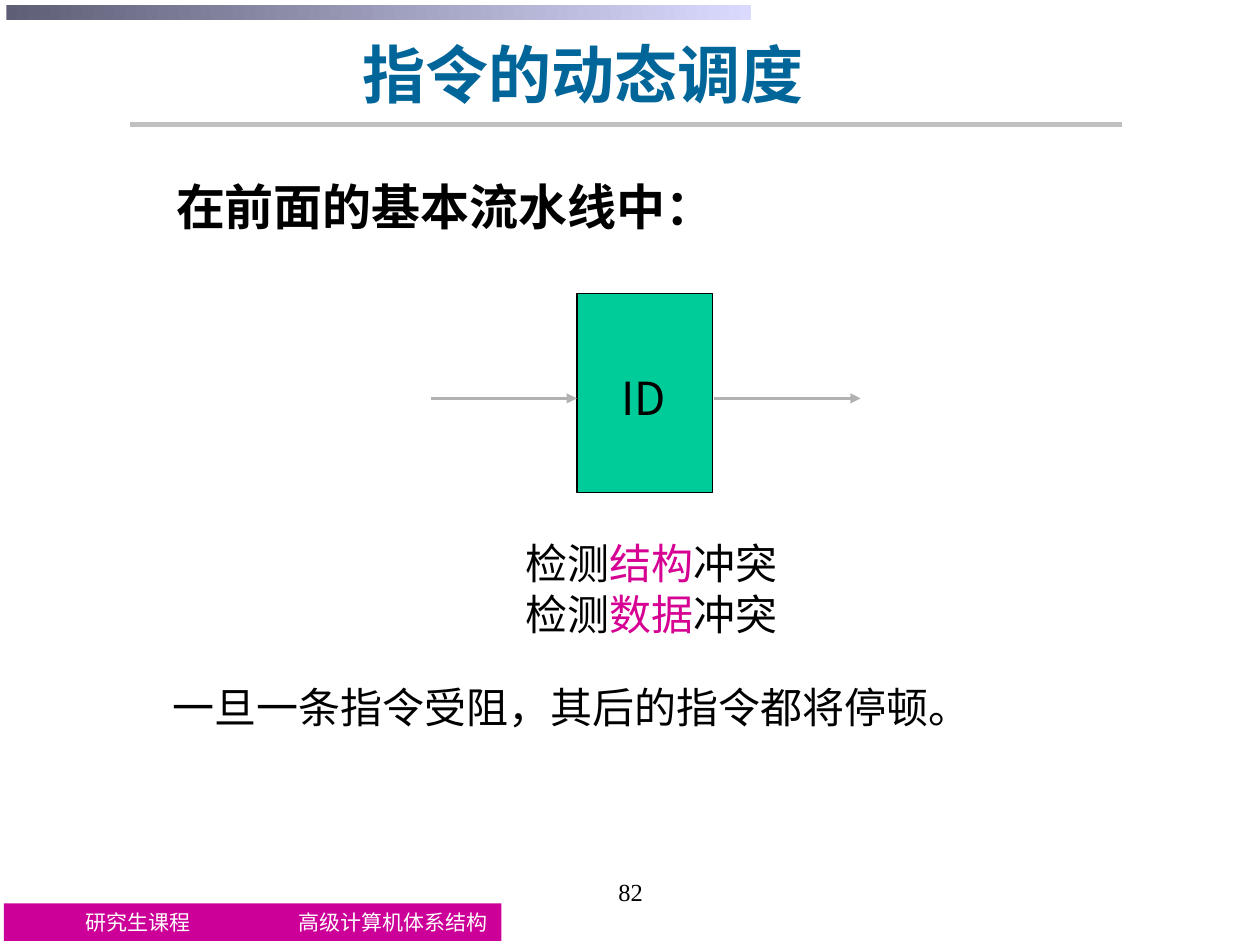
from lxml import etree
from pptx import Presentation
from pptx import util as u
from pptx.dml.color import RGBColor
from pptx.enum import shapes, text
from pptx.oxml.ns import qn

SANS, SERIF, BODY = "Noto Sans CJK SC", "Times New Roman", "Roboto"
BLACK, PINK = "000000", "D60093"
LEFT, CENTER = text.PP_ALIGN.LEFT, text.PP_ALIGN.CENTER
TOP, MIDDLE = text.MSO_ANCHOR.TOP, text.MSO_ANCHOR.MIDDLE


def rgb(value):
    return RGBColor.from_string(value)


def write(sp, lines, size, font, align=LEFT, anchor=TOP, bold=False):
    tf = sp.text_frame
    for name, value in {"word_wrap": True, "vertical_anchor": anchor,
                        "auto_size": text.MSO_AUTO_SIZE.NONE}.items():
        setattr(tf, name, value)
    for i, line in enumerate(lines):
        p = tf.add_paragraph() if i else tf.paragraphs[0]
        p.alignment = align
        for words, color in line:
            r = p.add_run()
            r.text = words
            for name, value in {"size": u.Pt(size), "name": font, "bold": bold}.items():
                setattr(r.font, name, value)
            r.font.color.rgb = rgb(color)
            ea = etree.SubElement(r.font._element, qn("a:ea"))
            ea.set("typeface", SANS)


prs = Presentation()
prs.slide_width, prs.slide_height = u.Cm(25.4), u.Cm(19.05)
s = prs.slides.add_slide(prs.slide_layouts[5])

boxes = {}
for name, place, fill in [
    ("footer", (0.08, 18.21, 10.03, 0.76), "CC0099"),
    ("bar", (0.13, 0.1, 15.01, 0.3), None),
    ("stage", (11.63, 5.92, 2.74, 4.01), "00CC99"),
]:
    sp = s.shapes.add_shape(shapes.MSO_SHAPE.RECTANGLE, *map(u.Cm, place))
    sp.shadow.inherit = False
    sp.line.fill.background()
    if fill:
        sp.fill.solid()
        sp.fill.fore_color.rgb = rgb(fill)
    boxes[name] = sp

boxes["stage"].line.color.rgb = rgb(BLACK)
boxes["stage"].line.width = u.Pt(0.75)

fill = boxes["bar"].fill
fill.gradient()
fill.gradient_angle = 0
for stop, color in zip(fill.gradient_stops, ["5E5E76", "DADAFF"]):
    stop.color.rgb = rgb(color)

write(boxes["footer"], [[("研究生课程\t高级计算机体系结构", "FFFFFF")]], 12, SERIF, anchor=MIDDLE)
pPr = boxes["footer"].text_frame.paragraphs[0]._p.get_or_add_pPr()
pPr.set("marL", str(u.Cm(1.4)))
tabs = etree.SubElement(pPr, qn("a:tabLst"))
etree.SubElement(tabs, qn("a:tab"), pos=str(u.Cm(4.29)), algn="l")

title = s.shapes.title
for name, value in {"left": 1.27, "top": 0.43, "width": 20.96, "height": 2.11}.items():
    setattr(title, name, u.Cm(value))
write(title, [[("指令的动态调度", "006699")]], 36, SANS, CENTER, MIDDLE, True)

for x1, x2, y, color, width, arrow in [
    (2.62, 22.61, 2.51, "C0C0C0", 2.75, False),
    (8.69, 11.63, 8.03, "B2B2B2", 1.5, True),
    (14.4, 17.35, 8.03, "B2B2B2", 1.5, True),
]:
    c = s.shapes.add_connector(shapes.MSO_CONNECTOR.STRAIGHT, *map(u.Cm, (x1, y, x2, y)))
    c.line.color.rgb = rgb(color)
    c.line.width = u.Pt(width)
    if arrow:
        etree.SubElement(c.line._get_or_add_ln(), qn("a:tailEnd"), type="triangle")
    etree.SubElement(c._element.spPr, qn("a:effectLst"))

checks = [[("检测", BLACK), (kind, PINK), ("冲突", BLACK)] for kind in ("结构", "数据")]
for place, lines, size, font, align, anchor, bold in [
    ((8.69, 17.55, 8.05, 1.27), [[("82", BLACK)]], 14, SERIF, CENTER, TOP, False),
    ((3.3, 3.33, 14.27, 1.63), [[("在前面的基本流水线中：", BLACK)]], 28, SERIF, LEFT, MIDDLE, True),
    ((12.27, 7.32, 3.38, 1.37), [[("ID", BLACK)]], 26, SANS, LEFT, MIDDLE, False),
    ((10.34, 10.72, 6.2, 2.69), checks, 24, BODY, LEFT, TOP, False),
    ((4.14 - 0.91, 13.62, 20.2, 1.5), [[("一旦一条指令受阻，其后的指令都将停顿。", BLACK)]],
     24, BODY, LEFT, TOP, False),
]:
    sp = s.shapes.add_textbox(*map(u.Cm, place))
    write(sp, lines, size, font, align, anchor, bold)

prs.save("out.pptx")
